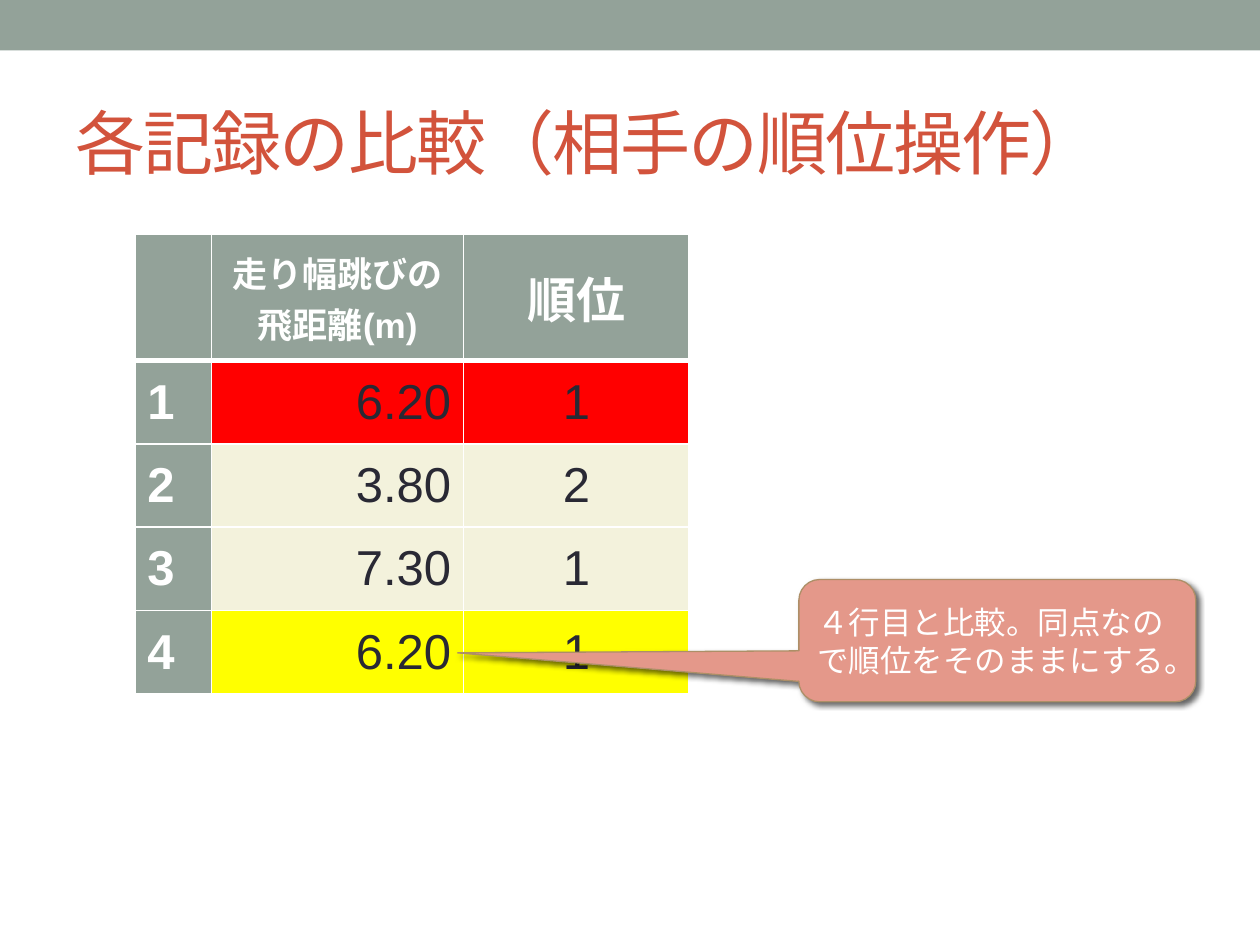
from lxml import etree
from pptx import Presentation
from pptx import util as u
from pptx.dml.color import RGBColor
from pptx.enum import lang, shapes, text
from pptx.oxml import ns

COLORS = {
    "band": "93A299", "title": "D2533C", "ink": "292934", "white": "FFFFFF",
    "row": "F3F2DC", "red": "FF0000", "yellow": "FFFF00",
    "callout": "E4988A", "outline": "AD8F67", "shadow": "000000",
}
ALIGN = text.PP_ALIGN
HEADERS = [("", 28), ("走り幅跳びの\n飛距離(m)", 20), ("順位", 28)]
RECORDS = [("1", "6.20", "1", "red"), ("2", "3.80", "2", "row"),
           ("3", "7.30", "1", "row"), ("4", "6.20", "1", "yellow")]


def rgb(name):
    return RGBColor.from_string(COLORS[name])


def add_solid(parent, color, alpha=None):
    fill = etree.SubElement(parent, ns.qn("a:solidFill"))
    value = etree.SubElement(fill, ns.qn("a:srgbClr"), val=COLORS[color])
    if alpha:
        etree.SubElement(value, ns.qn("a:alpha"), val=str(alpha * 1000))


def write(frame, words, size=28, color="white", bold=False,
          align=ALIGN.LEFT, spacing=0):
    for index, line in enumerate(words.split("\n")):
        paragraph = frame.add_paragraph() if index else frame.paragraphs[0]
        paragraph.alignment = align
        run = paragraph.add_run()
        run.text = line
        font = run.font
        font.name, font.size, font.bold = "Arial", u.Pt(size), bold
        font.color.rgb = rgb(color)
        font.language_id = lang.MSO_LANGUAGE_ID.JAPANESE
        if spacing:
            run._r.get_or_add_rPr().set("spc", str(spacing * 100))


def style_cell(cell, fill, bottom=1):
    cell.vertical_anchor = text.MSO_ANCHOR.MIDDLE
    properties = cell._tc.get_or_add_tcPr()
    for side, width in (("L", 1), ("R", 1), ("T", 1), ("B", bottom)):
        border = etree.SubElement(properties, ns.qn(f"a:ln{side}"),
                                  w=str(u.Pt(width)))
        add_solid(border, "white")
    cell.fill.solid()
    cell.fill.fore_color.rgb = rgb(fill)


def add_band(slide, left, top, width, height):
    band = slide.shapes.add_shape(shapes.MSO_SHAPE.RECTANGLE,
                                  left, top, width, height)
    band.shadow.inherit = False
    band.fill.solid()
    band.fill.fore_color.rgb = rgb("band")
    band.line.fill.background()


def add_title(slide, left, top, width, height):
    frame = slide.shapes.add_textbox(left, top, width, height).text_frame
    frame.word_wrap = True
    frame.vertical_anchor = text.MSO_ANCHOR.MIDDLE
    write(frame, "各記録の比較（相手の順位操作）", size=40, color="title", spacing=-1)


def add_records(slide, left, top, width, height):
    table = slide.shapes.add_table(len(RECORDS) + 1, len(HEADERS),
                                   left, top, width, height).table
    for column, share in zip(table.columns, (0.61, 2, 1.79)):
        column.width = int(width * share / 4.4)
    header_height = u.Inches(1)
    table.rows[0].height = header_height
    # Header row
    for column, (label, size) in enumerate(HEADERS):
        cell = table.cell(0, column)
        style_cell(cell, "band", bottom=3)
        if label:
            write(cell.text_frame, label, size=size, bold=True,
                  align=ALIGN.CENTER)
    # One row per jump
    for row, (number, distance, rank, fill) in enumerate(RECORDS, 1):
        table.rows[row].height = (height - header_height) // len(RECORDS)
        cells = [table.cell(row, column) for column in range(len(HEADERS))]
        for cell, cell_fill in zip(cells, ("band", fill, fill)):
            style_cell(cell, cell_fill)
        write(cells[0].text_frame, number, bold=True)
        write(cells[1].text_frame, distance, color="ink", align=ALIGN.RIGHT)
        write(cells[2].text_frame, rank, color="ink", align=ALIGN.CENTER)


def add_callout(slide, left, top, width, height):
    callout = slide.shapes.add_shape(
        shapes.MSO_SHAPE.ROUNDED_RECTANGULAR_CALLOUT, left, top, width, height)
    for index, value in enumerate((-1.36, 0.1, 0.17)):
        callout.adjustments[index] = value
    callout.fill.solid()
    callout.fill.fore_color.rgb = rgb("callout")
    callout.line.color.rgb = rgb("outline")
    callout.line.width = u.Pt(0.75)
    # Soft shadow to the lower right
    callout.shadow.inherit = False
    effects = callout._element.spPr.find(ns.qn("a:effectLst"))
    shadow = etree.SubElement(effects, ns.qn("a:outerShdw"),
                              blurRad=str(u.Pt(3)), dist=str(u.Pt(2)),
                              dir=str(45 * 60000), rotWithShape="0")
    color = etree.SubElement(shadow, ns.qn("a:srgbClr"), val=COLORS["shadow"])
    etree.SubElement(color, ns.qn("a:alpha"), val="60000")
    frame = callout.text_frame
    frame.word_wrap = True
    frame.vertical_anchor = text.MSO_ANCHOR.MIDDLE
    write(frame, "４行目と比較。同点なので順位をそのままにする。", size=18)


def main():
    deck = Presentation()
    deck.slide_width, deck.slide_height = u.Inches(10), u.Inches(7.5)
    slide = deck.slides.add_slide(deck.slide_layouts[6])
    add_band(slide, 0, 0, deck.slide_width, u.Inches(0.4))
    add_records(slide, u.Inches(1.07), u.Inches(1.86),
                u.Inches(4.4), u.Inches(3.65))
    add_callout(slide, u.Inches(6.34), u.Inches(4.6),
                u.Inches(3.15), u.Inches(0.97))
    add_title(slide, u.Inches(0.5), u.Inches(0.58),
              u.Inches(9), u.Inches(1.08))
    deck.save("out.pptx")


if __name__ == "__main__":
    main()
